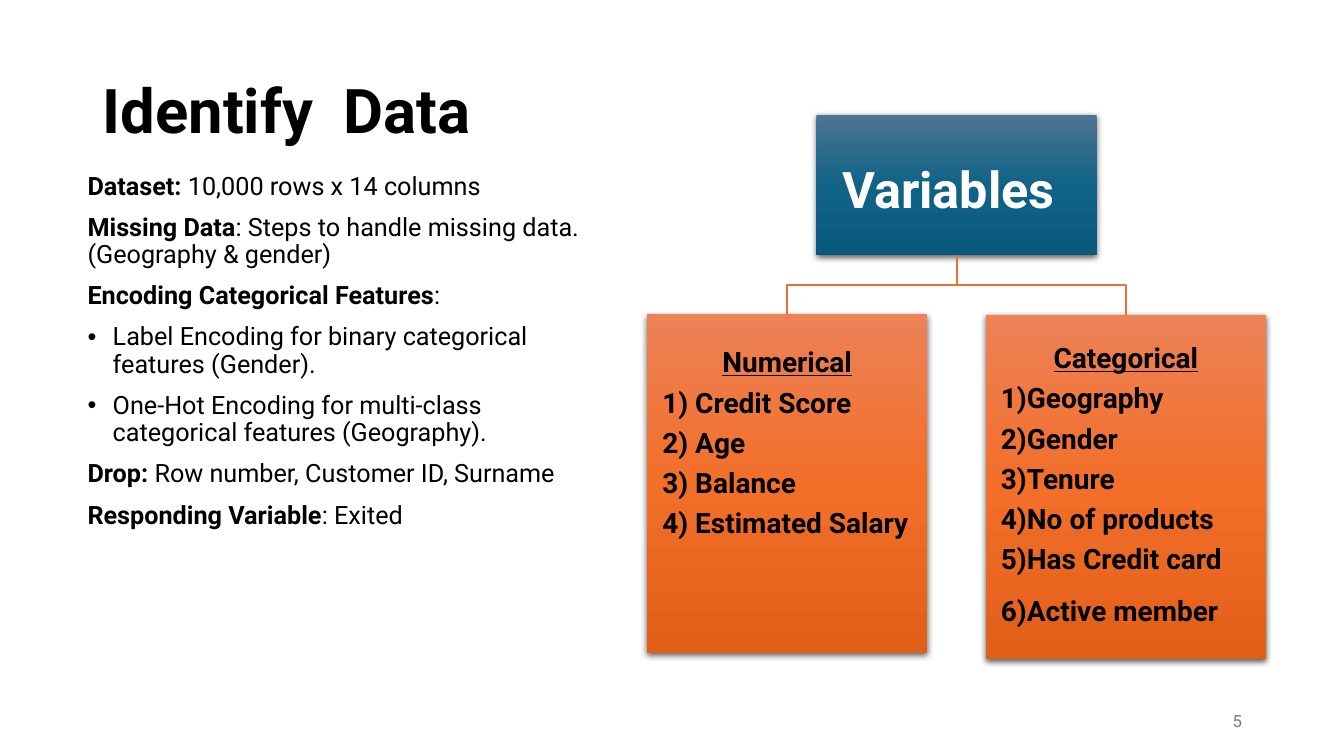
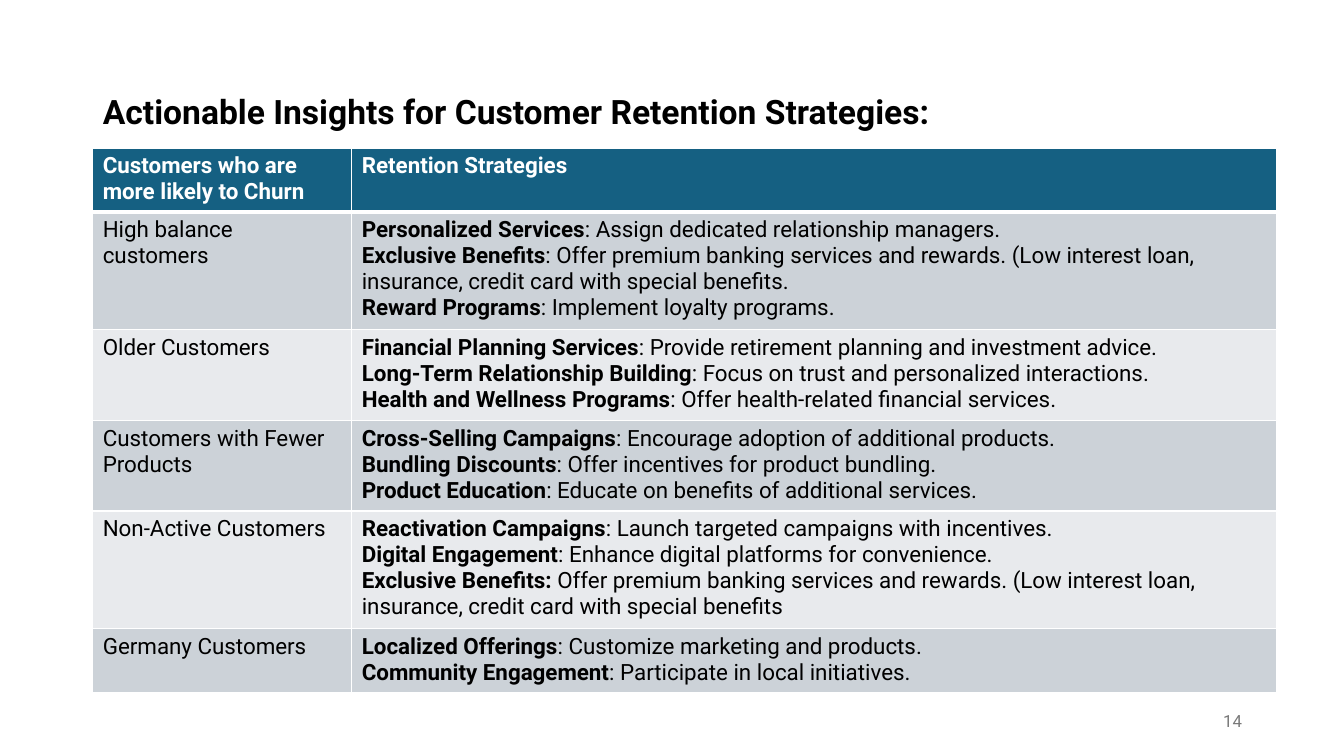
from copy import deepcopy

from lxml.etree import SubElement
from pptx import Presentation
from pptx.dml.color import RGBColor
from pptx.enum.shapes import MSO_SHAPE
from pptx.enum.text import MSO_ANCHOR, MSO_AUTO_SIZE, PP_ALIGN
from pptx.oxml import parse_xml
from pptx.oxml.ns import nsdecls, qn
from pptx.util import Inches, Pt

FONT = "Roboto"
BLACK = RGBColor(0x00, 0x00, 0x00)
WHITE = RGBColor(0xFF, 0xFF, 0xFF)
GREY = RGBColor(0x79, 0x79, 0x79)
ORANGE = RGBColor(0xE9, 0x71, 0x32)
HEADER_BLUE = RGBColor(0x15, 0x60, 0x82)
BANDS = (RGBColor(0xCC, 0xD2, 0xD8), RGBColor(0xE8, 0xEA, 0xED))
BLUE_GRADIENT = (RGBColor(0x4C, 0x75, 0x91), RGBColor(0x10, 0x62, 0x87), RGBColor(0x09, 0x59, 0x7D))
ORANGE_GRADIENT = (RGBColor(0xED, 0x82, 0x57), RGBColor(0xF2, 0x6E, 0x29), RGBColor(0xE2, 0x5F, 0x1A))

SLIDE_WIDTH, SLIDE_HEIGHT = 40 / 3, 7.5
TITLE_BOX = (0.92, 0.4, 11.5, 1.45)
NUMBER_BOX = (9.42, 6.95, 3, 0.4)

# Each paragraph: bold lead, plain rest, bulleted or not
DATA_NOTES = [
    ("Dataset: ", "10,000 rows x 14 columns", False),
    ("Missing Data", ": Steps to handle missing data. (Geography & gender)", False),
    ("Encoding Categorical Features", ":", False),
    ("", "Label Encoding for binary categorical features (Gender).", True),
    ("", "One-Hot Encoding for multi-class categorical features (Geography).", True),
    ("Drop: ", "Row number, Customer ID, Surname", False),
    ("Responding Variable", ": Exited", False),
]
NUMERICAL = ["1) Credit Score", "2) Age", "3) Balance", "4) Estimated Salary"]
CATEGORICAL = ["1)Geography", "2)Gender", "3)Tenure", "4)No of products",
               "5)Has Credit card", "6)Active member"]

# Each row: customer group, strategies (bold lead, plain rest)
STRATEGY_HEADER = ("Customers who are more likely to Churn", [("Retention Strategies", "")])
STRATEGIES = [
    ("High balance customers", [
        ("Personalized Services", ": Assign dedicated relationship managers."),
        ("Exclusive Benefits", ": Offer premium banking services and rewards. "
         "(Low interest loan, insurance, credit card with special benefits."),
        ("Reward Programs", ": Implement loyalty programs.")]),
    ("Older Customers", [
        ("Financial Planning Services", ": Provide retirement planning and investment advice."),
        ("Long-Term Relationship Building", ": Focus on trust and personalized interactions."),
        ("Health and Wellness Programs", ": Offer health-related financial services.")]),
    ("Customers with Fewer Products", [
        ("Cross-Selling Campaigns", ": Encourage adoption of additional products."),
        ("Bundling Discounts", ": Offer incentives for product bundling."),
        ("Product Education", ": Educate on benefits of additional services.")]),
    ("Non-Active Customers", [
        ("Reactivation Campaigns", ": Launch targeted campaigns with incentives."),
        ("Digital Engagement", ": Enhance digital platforms for convenience."),
        ("Exclusive Benefits: ", "Offer premium banking services and rewards. "
         "(Low interest loan, insurance, credit card with special benefits")]),
    ("Germany Customers", [
        ("Localized Offerings", ": Customize marketing and products."),
        ("Community Engagement", ": Participate in local initiatives.")]),
]


def inches(box):
    return [Inches(length) for length in box]


def write(paragraph, lead, rest, size, color=BLACK, align=PP_ALIGN.LEFT):
    """Fill a paragraph with a bold lead and a plain rest."""
    paragraph.alignment = align
    font = paragraph.font
    font.name, font.size, font.color.rgb = FONT, Pt(size), color
    for text, bold in ((lead, True), (rest, False)):
        if text:
            run = paragraph.add_run()
            run.text = text
            run.font.bold = bold


def paragraphs(frame, count):
    """Yield the first paragraph of a frame, then new ones."""
    yield frame.paragraphs[0]
    for _ in range(count - 1):
        yield frame.add_paragraph()


def indent(paragraph, left, first=0):
    properties = paragraph._p.get_or_add_pPr()
    properties.set("marL", str(Inches(left)))
    properties.set("indent", str(Inches(first)))
    return properties


def set_insets(frame, left, top, right, bottom):
    frame.margin_left, frame.margin_top, frame.margin_right, frame.margin_bottom = inches(
        (left, top, right, bottom))


def add_titled_slide(deck, title, size, number):
    slide = deck.slides.add_slide(deck.slide_layouts[5])
    heading = slide.shapes.title
    heading.left, heading.top, heading.width, heading.height = inches(TITLE_BOX)
    frame = heading.text_frame
    frame.auto_size, frame.word_wrap = MSO_AUTO_SIZE.NONE, True
    frame.vertical_anchor = MSO_ANCHOR.MIDDLE
    write(frame.paragraphs[0], title, "", size)
    frame.paragraphs[0].line_spacing = 0.9

    # Slide number
    frame = slide.shapes.add_textbox(*inches(NUMBER_BOX)).text_frame
    frame.word_wrap, frame.vertical_anchor = True, MSO_ANCHOR.MIDDLE
    write(frame.paragraphs[0], "", number, 12, GREY, PP_ALIGN.RIGHT)
    return slide


def add_notes_column(slide, box):
    frame = slide.shapes.add_textbox(*inches(box)).text_frame
    frame.word_wrap = True
    for paragraph, (lead, rest, bulleted) in zip(paragraphs(frame, len(DATA_NOTES)), DATA_NOTES):
        write(paragraph, lead, rest, 18)
        paragraph.line_spacing, paragraph.space_before = 0.9, Pt(10)
        if bulleted:
            run_defaults = indent(paragraph, 0.25, -0.25).find(qn("a:defRPr"))
            for part in ('buFont {} typeface="Arial"', 'buChar {} char="•"'):
                run_defaults.addprevious(parse_xml(f'<a:{part.format(nsdecls("a"))}/>'))


def add_card(slide, box, gradient):
    """Add a rectangle with a vertical three-colour gradient and a soft shadow."""
    card = slide.shapes.add_shape(MSO_SHAPE.RECTANGLE, *inches(box))
    card.fill.gradient()
    card.fill.gradient_angle = 270
    properties = card._element.spPr
    stops = properties.find(qn("a:gradFill")).find(qn("a:gsLst"))
    stops.insert(1, deepcopy(stops[0]))
    for stop, position, color in zip(card.fill.gradient_stops, (0, 0.5, 1), gradient):
        stop.position, stop.color.rgb = position, color
    card.line.fill.background()
    card.shadow.inherit = False
    shadow = SubElement(properties.find(qn("a:effectLst")), qn("a:outerShdw"),
                        blurRad=str(Pt(4.5)), dist=str(Pt(1.5)), dir="5400000",
                        algn="ctr", rotWithShape="0")
    tint = SubElement(shadow, qn("a:srgbClr"), val=str(BLACK))
    SubElement(tint, qn("a:alpha"), val="63000")
    card.text_frame.word_wrap = True
    return card


def add_list_card(slide, box, heading, items, top_inset):
    card = add_card(slide, box, ORANGE_GRADIENT)
    frame = card.text_frame
    frame.vertical_anchor = MSO_ANCHOR.TOP
    set_insets(frame, 0.01, top_inset, 0.01, 0.01)
    lines = [heading, *items]
    for paragraph, line in zip(paragraphs(frame, len(lines)), lines):
        write(paragraph, line, "", 20)
        paragraph.line_spacing, paragraph.space_after = 0.9, Pt(7)
        if line == heading:
            paragraph.alignment = PP_ALIGN.CENTER
            paragraph.font.underline = True
        else:
            indent(paragraph, 0.14)
    return card


def add_branch(slide, root, card):
    """Draw a stepped line from the foot of the root to the top of a card."""
    root_x, card_x = (box.left + box.width // 2 for box in (root, card))
    root_foot = root.top + root.height
    fork = (root_foot + card.top) // 2
    outline = slide.shapes.build_freeform(root_x, root_foot)
    outline.add_line_segments([(root_x, fork), (card_x, fork), (card_x, card.top)], close=False)
    branch = outline.convert_to_shape()
    branch.fill.background()
    branch.line.color.rgb, branch.line.width = ORANGE, Pt(1.5)
    branch.shadow.inherit = False


def add_variables_tree(slide, box):
    left, top, width, height = box
    card_width, root_height, gap = 2.78, 1.39, 0.59
    cards_top = top + root_height + gap

    # Root
    root = add_card(slide, (left + (width - card_width) / 2, top, card_width, root_height),
                    BLUE_GRADIENT)
    root.text_frame.vertical_anchor = MSO_ANCHOR.MIDDLE
    set_insets(root.text_frame, 0.03, 0.17, 0.19, 0.03)
    write(root.text_frame.paragraphs[0], "Variables", "", 36, WHITE, PP_ALIGN.CENTER)
    root.text_frame.paragraphs[0].line_spacing = 0.9

    # Branches
    numerical = add_list_card(slide, (left, cards_top, card_width, height - 2.04),
                              "Numerical", NUMERICAL, 0.34)
    categorical = add_list_card(
        slide, (left + width - card_width, cards_top, card_width, height - 1.98),
        "Categorical", CATEGORICAL, 0.3)
    categorical.text_frame.paragraphs[-1].space_before = Pt(8.5)
    for card in (numerical, categorical):
        add_branch(slide, root, card)


def style_cell(cell, color, top=1, bottom=1):
    """Give a cell its fill and white borders, with widths in points."""
    cell.fill.solid()
    cell.fill.fore_color.rgb = color
    borders = (("L", 1), ("R", 1), ("T", top), ("B", bottom))
    for index, (side, width) in enumerate(borders):
        cell._tc.get_or_add_tcPr().insert(index, parse_xml(
            f'<a:ln{side} {nsdecls("a")} w="{Pt(width)}"><a:solidFill>'
            f'<a:srgbClr val="{WHITE}"/></a:solidFill></a:ln{side}>'))


def add_strategy_table(slide, left, top, column_widths, row_height):
    """Add the table; its rows grow from row_height to fit their text."""
    rows = [STRATEGY_HEADER, *STRATEGIES]
    table = slide.shapes.add_table(
        len(rows), 2, *inches((left, top, sum(column_widths), row_height * len(rows)))).table
    for column, width in zip(table.columns, column_widths):
        column.width = Inches(width)
    for index, (group, strategies) in enumerate(rows):
        header = index == 0
        fill = HEADER_BLUE if header else BANDS[(index - 1) % 2]
        group_text = (group, "") if header else ("", group)
        for cell, entries in zip(table.rows[index].cells, ([group_text], strategies)):
            style_cell(cell, fill, top=3 if index == 1 else 1, bottom=3 if header else 1)
            for paragraph, entry in zip(paragraphs(cell.text_frame, len(entries)), entries):
                write(paragraph, *entry, 16, WHITE if header else BLACK)


def main():
    deck = Presentation()
    deck.slide_width, deck.slide_height = inches((SLIDE_WIDTH, SLIDE_HEIGHT))

    data_slide = add_titled_slide(deck, "Identify  Data", 44, "5")
    add_notes_column(data_slide, (0.77, 1.67, 5.08, 4.76))
    add_variables_tree(data_slide, (6.42, 1.14, 6.14, 5.4))

    insights_slide = add_titled_slide(
        deck, "Actionable Insights for Customer Retention Strategies:", 24, "14")
    add_strategy_table(insights_slide, 0.92, 1.47, (2.57, 9.18), 0.41)

    deck.save("out.pptx")


if __name__ == "__main__":
    main()
